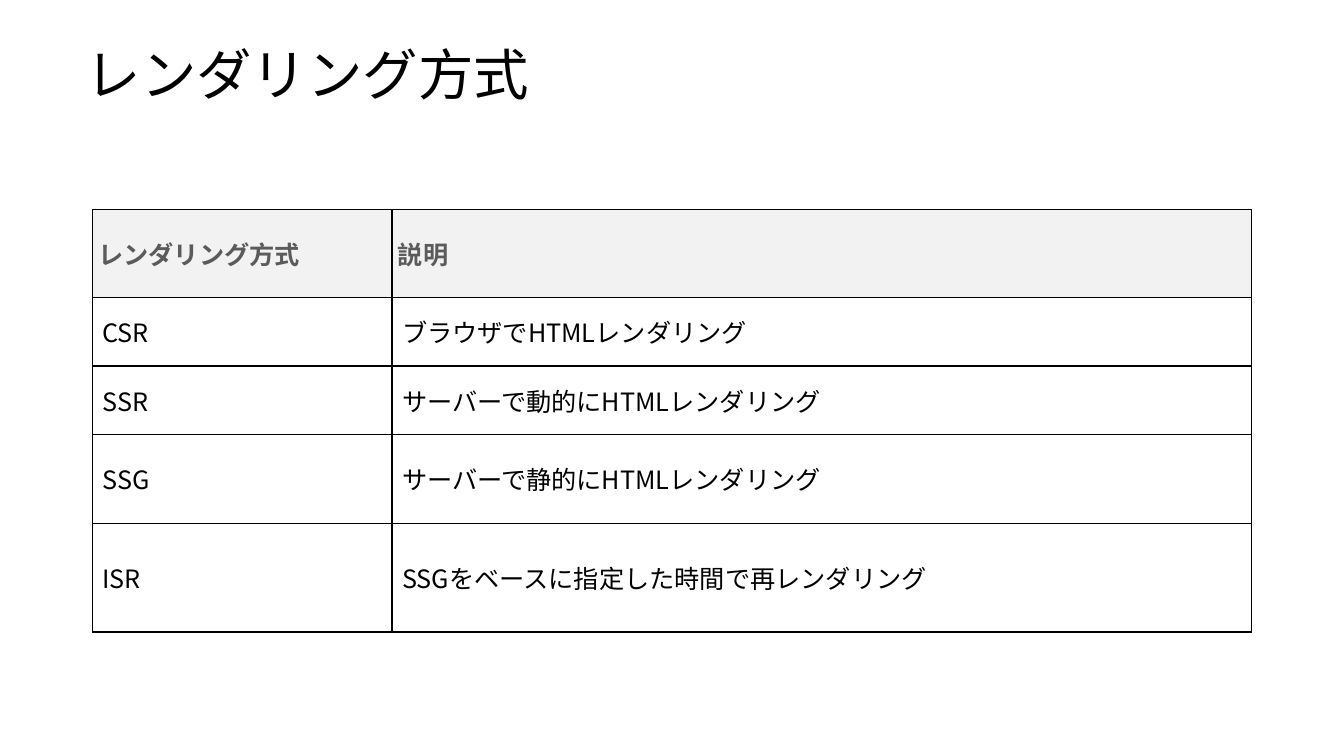
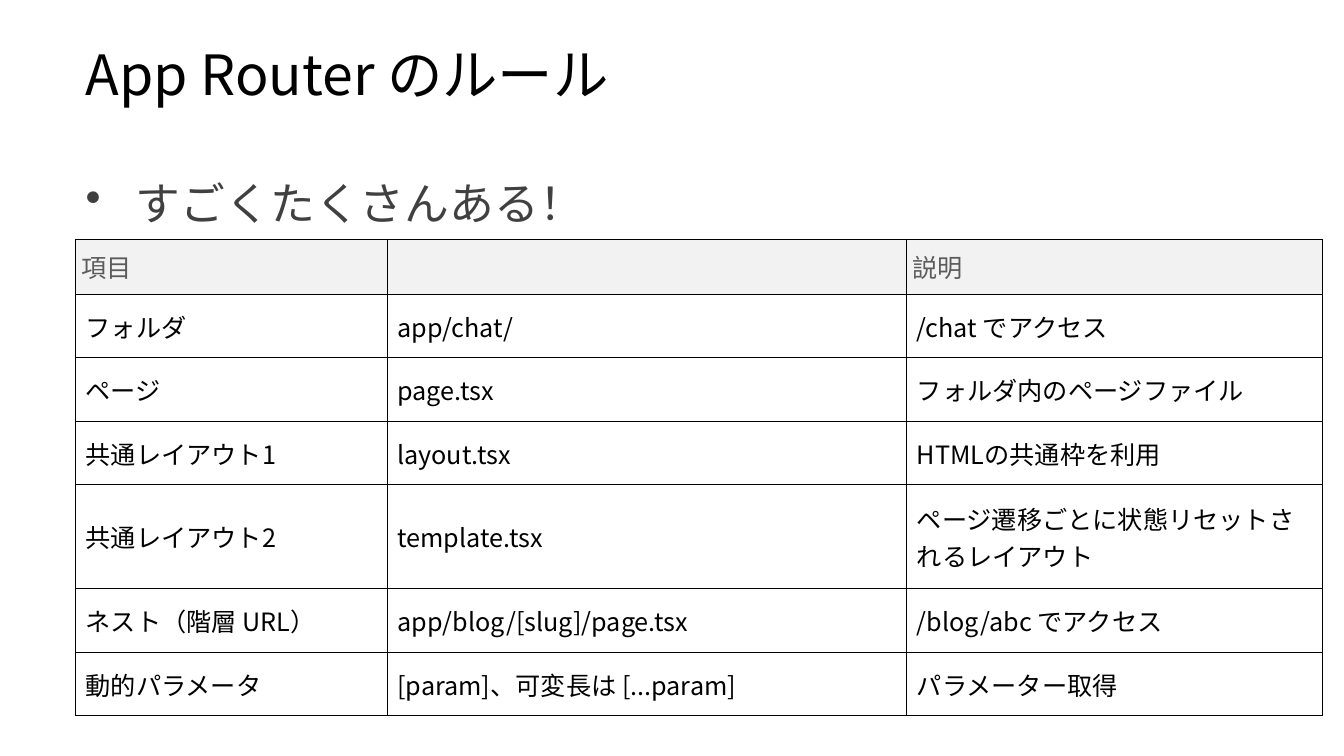
from dataclasses import dataclass

from pptx import Presentation
from pptx.dml.color import RGBColor
from pptx.enum.text import MSO_ANCHOR, MSO_AUTO_SIZE
from pptx.oxml.xmlchemy import OxmlElement
from pptx.util import Pt

MIDDLE = MSO_ANCHOR.MIDDLE
TOP = MSO_ANCHOR.TOP
NO_FIT = MSO_AUTO_SIZE.NONE
TITLE_ONLY = 5


@dataclass(frozen=True)
class Theme:
    """Hold the colours, font and type sizes of the deck."""
    font: str = "Noto Sans CJK JP"
    ink: str = "000000"
    muted: str = "5B5B5B"
    bullet: str = "404040"
    header_fill: str = "F2F2F2"
    title_size: float = 39.6
    bullet_size: float = 32
    table_size: float = 18
    border: float = 1
    header_inset: float = 4.3
    body_inset: float = 7.2


THEME = Theme()
SLIDE_SIZE = (960, 540)
TITLE_BOX = (54, 33, 857, 45.5)
BULLET_BOX = (54, 103, 855, 60)
BULLET_INDENT = 36

SLIDES = [
    {
        "title": "レンダリング方式",
        "table": {
            "at": (66, 149.8),
            "cols": (214, 614),
            "rows": (62.8, 48.9, 48.9, 63.4, 77.7),
            "bold_header": True,
            "cells": [
                ("レンダリング方式", "説明"),
                ("CSR", "ブラウザでHTMLレンダリング"),
                ("SSR", "サーバーで動的にHTMLレンダリング"),
                ("SSG", "サーバーで静的にHTMLレンダリング"),
                ("ISR", "SSGをベースに指定した時間で再レンダリング"),
            ],
        },
    },
    {
        "title": "App Router のルール",
        "bullet": "すごくたくさんある！",
        "table": {
            "at": (54, 171.2),
            "cols": [890.6 * part / 12 for part in (3, 5, 4)],
            "rows": (39, 45.4, 45.4, 45.4, 74.2, 45.4, 45.4),
            "bold_header": False,
            "cells": [
                ("項目", "", "説明"),
                ("フォルダ", "app/chat/", "/chat でアクセス"),
                ("ページ", "page.tsx", "フォルダ内のページファイル"),
                ("共通レイアウト1", "layout.tsx", "HTMLの共通枠を利用"),
                ("共通レイアウト2", "template.tsx", "ページ遷移ごとに状態リセットされるレイアウト"),
                ("ネスト（階層 URL）", "app/blog/[slug]/page.tsx", "/blog/abc でアクセス"),
                ("動的パラメータ", "[param]、可変長は [...param]", "パラメーター取得"),
            ],
        },
    },
]


def set_attrs(obj, **values):
    """Set several attributes on one object."""
    for name, value in values.items():
        setattr(obj, name, value)


def place(sp, box):
    """Move and size a shape in points."""
    for name, value in zip(("left", "top", "width", "height"), box):
        setattr(sp, name, Pt(value))


def add_run(p, text, size, color, bold=False):
    """Add a run in the deck font, for Latin and East Asian text."""
    r = p.add_run()
    r.text = text
    set_attrs(r.font, name=THEME.font, size=Pt(size), bold=bold)
    r.font.color.rgb = RGBColor.from_string(color)
    ea = OxmlElement("a:ea")
    ea.set("typeface", THEME.font)
    r.font._element.find("{*}latin").addnext(ea)


def add_title(slide, text):
    """Fill and format the title placeholder."""
    sp = slide.shapes.title
    place(sp, TITLE_BOX)
    tf = sp.text_frame
    set_attrs(tf, auto_size=NO_FIT, vertical_anchor=MIDDLE, word_wrap=True)
    p = tf.paragraphs[0]
    set_attrs(p, alignment=1, line_spacing=0.9)
    add_run(p, text, THEME.title_size, THEME.ink)


def add_bullet(slide, text):
    """Add the bulleted line under the title."""
    tf = slide.shapes.add_textbox(*map(Pt, BULLET_BOX)).text_frame
    set_attrs(tf, auto_size=NO_FIT, vertical_anchor=TOP, word_wrap=True)
    p = tf.paragraphs[0]
    p.line_spacing = 1.5
    props = p._p.get_or_add_pPr()
    props.set("marL", str(Pt(BULLET_INDENT)))
    props.set("indent", str(-Pt(BULLET_INDENT)))
    mark = OxmlElement("a:buChar")
    mark.set("char", "•")
    props.append(mark)
    add_run(p, text, THEME.bullet_size, THEME.bullet)


def add_borders(cell):
    """Draw a thin line on every side of a cell."""
    props = cell._tc.get_or_add_tcPr()
    for side in ("L", "R", "T", "B"):
        line = OxmlElement(f"a:ln{side}")
        line.set("w", str(Pt(THEME.border)))
        fill = OxmlElement("a:solidFill")
        color = OxmlElement("a:srgbClr")
        color.set("val", THEME.ink)
        fill.append(color)
        line.append(fill)
        props.append(line)


def format_cell(cell, text, is_header, bold):
    """Write and format one table cell."""
    inset = Pt(THEME.header_inset if is_header else THEME.body_inset)
    set_attrs(cell, vertical_anchor=MIDDLE, margin_left=inset,
              margin_right=inset, margin_top=inset, margin_bottom=inset)
    add_borders(cell)
    if is_header:
        cell.fill.solid()
        cell.fill.fore_color.rgb = RGBColor.from_string(THEME.header_fill)
    else:
        cell.fill.background()
    if text:
        color = THEME.muted if is_header else THEME.ink
        add_run(cell.text_frame.paragraphs[0], text, THEME.table_size, color, bold)


def add_grid(slide, data):
    """Add a bordered table with a shaded header row."""
    cols, rows = data["cols"], data["rows"]
    box = (*data["at"], sum(cols), sum(rows))
    table = slide.shapes.add_table(len(rows), len(cols), *map(Pt, box)).table
    set_attrs(table, first_row=True, horz_banding=False)
    for column, width in zip(table.columns, cols):
        column.width = Pt(width)
    for i, (row, height, texts) in enumerate(zip(table.rows, rows, data["cells"])):
        row.height = Pt(height)
        for cell, text in zip(row.cells, texts):
            format_cell(cell, text, i == 0, i == 0 and data["bold_header"])


def main():
    """Build and save the deck."""
    prs = Presentation()
    prs.slide_width, prs.slide_height = map(Pt, SLIDE_SIZE)
    for content in SLIDES:
        slide = prs.slides.add_slide(prs.slide_layouts[TITLE_ONLY])
        add_title(slide, content["title"])
        add_grid(slide, content["table"])
        if "bullet" in content:
            add_bullet(slide, content["bullet"])
    prs.save("out.pptx")


if __name__ == "__main__":
    main()
